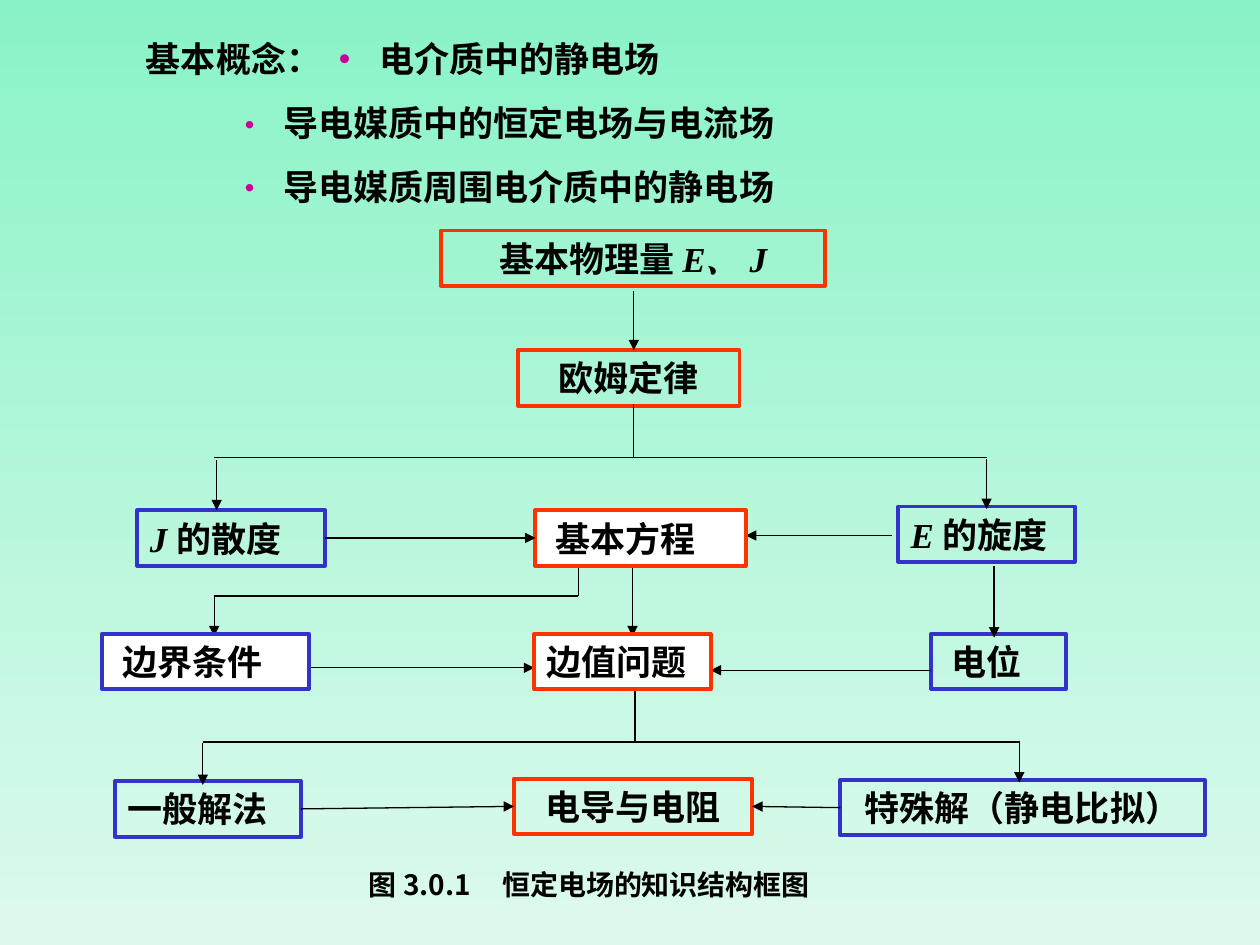
from pptx import Presentation
from pptx.dml.color import RGBColor
from pptx.enum.shapes import MSO_CONNECTOR as CONN, MSO_SHAPE as SHAPE
from pptx.enum.text import MSO_ANCHOR as ANCHOR, PP_ALIGN as ALIGN
from pptx.oxml.ns import qn
from pptx.util import Inches, Pt
from lxml.etree import SubElement

COLORS = {"top": "8AF3C7", "bottom": "DDFAED", "text": "000000", "bullet": "CC0099",
          "red": "FF3300", "blue": "3333CC", "white": "FFFFFF"}
SANS, SERIF = "Noto Sans CJK SC", "Times New Roman"
BOX_H = 0.44

CONCEPTS = ["导电媒质中的恒定电场与电流场", "导电媒质周围电介质中的静电场"]
CAPTION = "图 3.0.1\t恒定电场的知识结构框图"

# Boxes: left, top, width, line colour, centred, extra left indent, runs (text, is symbol)
CLEAR_BOXES = [
    (3.50, 1.83, 3.05, "red", True, 0, [("基本物理量 ", False), ("E、 J", True)]),
    (4.11, 2.78, 1.76, "red", True, 0, [("欧姆定律", False)]),
    (1.09, 4.05, 1.49, "blue", False, 0, [("J ", True), ("的散度", False)]),
    (7.13, 4.02, 1.40, "blue", False, 0, [("E ", True), ("的旋度", False)]),
    (7.39, 5.03, 1.07, "blue", False, 0.06, [("电位", False)]),
    (0.91, 6.20, 1.48, "blue", False, 0, [("一般解法", False)]),
    (6.67, 6.19, 2.89, "blue", True, 0, [("特殊解（静电比拟）", False)]),
    (4.08, 6.18, 1.89, "red", True, 0, [("电导与电阻", False)]),
]
WHITE_BOXES = [
    (0.81, 5.03, 1.64, "blue", False, 0.06, [("边界条件", False)]),
    (4.25, 4.05, 1.67, "red", False, 0.06, [("基本方程", False)]),
    (4.24, 5.03, 1.40, "red", False, 0, [("边值问题", False)]),
]
# Lines: x1, y1, x2, y2
PLAIN_LINES = [
    (5.03, 3.21, 5.03, 3.63), (1.70, 3.63, 7.83, 3.63),
    (4.59, 4.48, 4.59, 4.73), (1.70, 4.73, 4.59, 4.73),
    (5.04, 5.48, 5.04, 5.90), (1.61, 5.89, 8.09, 5.89),
]
ARROWS = [
    (5.03, 2.31, 5.03, 2.78), (1.72, 3.65, 1.72, 4.05), (7.83, 3.64, 7.83, 4.04),
    (7.08, 4.25, 5.92, 4.25), (1.70, 4.73, 1.70, 5.05), (5.02, 4.48, 5.02, 5.05),
    (7.89, 4.49, 7.89, 5.06), (2.40, 5.30, 4.24, 5.30), (7.39, 5.32, 5.64, 5.32),
    (1.61, 5.90, 1.61, 6.23), (8.09, 5.88, 8.09, 6.21),
]
# Joined arrows: from box, side, to box, side (1 left, 3 right)
JOINS = [("J 的散度", 3, "基本方程", 1), ("一般解法", 3, "电导与电阻", 1),
         ("特殊解（静电比拟）", 1, "电导与电阻", 3)]


def rgb(name):
    return RGBColor.from_string(COLORS[name])


def add_run(p, text, size=20, color="text", symbol=False):
    r = p.add_run()
    r.text = text
    font = r.font
    font.size, font.bold, font.italic = Pt(size), True, symbol
    font.name = SERIF if symbol else SANS
    font.color.rgb = rgb(color)
    SubElement(r._r.get_or_add_rPr(), qn("a:ea"), typeface=font.name)


def add_tabs(p, *stops):
    tabs = SubElement(p._p.get_or_add_pPr(), qn("a:tabLst"))
    for stop in stops:
        SubElement(tabs, qn("a:tab"), pos=str(Inches(stop)), algn="l")


def add_bullet(p, margin, hang):
    pPr = p._p.get_or_add_pPr()
    pPr.set("marL", str(Inches(margin)))
    pPr.set("indent", str(-Inches(hang)))
    color = SubElement(pPr, qn("a:buClr"))
    SubElement(color, qn("a:srgbClr"), val=COLORS["bullet"])
    SubElement(pPr, qn("a:buFont"), typeface=SANS)
    SubElement(pPr, qn("a:buChar"), char="•")


def add_text(x, y, w, h):
    tf = slide.shapes.add_textbox(*map(Inches, (x, y, w, h))).text_frame
    tf.word_wrap, tf.vertical_anchor = True, ANCHOR.MIDDLE
    return tf


def add_box(x, y, w, line, centred, indent, runs, fill=None):
    sp = slide.shapes.add_shape(SHAPE.RECTANGLE, *map(Inches, (x, y, w, BOX_H)))
    sp.shadow.inherit = False
    if fill:
        sp.fill.solid()
        sp.fill.fore_color.rgb = rgb(fill)
    else:
        sp.fill.background()
    sp.line.color.rgb, sp.line.width = rgb(line), Pt(2.25)
    tf = sp.text_frame
    tf.word_wrap, tf.vertical_anchor = True, ANCHOR.MIDDLE
    tf.margin_left = Inches(0.1 + indent)
    p = tf.paragraphs[0]
    p.alignment = ALIGN.CENTER if centred else ALIGN.LEFT
    for text, symbol in runs:
        add_run(p, text, symbol=symbol)
    boxes[tf.text] = sp


def add_line(ends=(0, 0, 0, 0), arrow=False):
    cn = slide.shapes.add_connector(CONN.STRAIGHT, *map(Inches, ends))
    cn.line.color.rgb, cn.line.width = rgb("text"), Pt(0.75)
    if arrow:
        SubElement(cn.line._get_or_add_ln(), qn("a:tailEnd"), type="triangle")
    SubElement(cn._element.spPr, qn("a:effectLst"))
    return cn


prs = Presentation()
prs.slide_width, prs.slide_height = Inches(10), Inches(7.5)
slide = prs.slides.add_slide(prs.slide_layouts[6])
boxes = {}

# Background
bg = slide.background.fill
bg.gradient()
bg.gradient_angle = 270
for stop, name in zip(bg.gradient_stops, ("top", "bottom")):
    stop.color.rgb = rgb(name)

# Basic concepts
tf = add_text(1.06, 0.25, 7.35, 1.45)
p = tf.paragraphs[0]
p.line_spacing = Pt(24)
add_tabs(p, 1.44, 1.85)
add_run(p, "基本概念：\t")
add_run(p, "•\t", color="bullet")
add_run(p, "电介质中的静电场")
for concept in CONCEPTS:
    p = tf.add_paragraph()
    add_bullet(p, 1.09, 0.4)
    p.line_spacing, p.space_before = Pt(24), Pt(12.5)
    add_run(p, concept)

# Flow chart
for box in CLEAR_BOXES:
    add_box(*box)
for ends in PLAIN_LINES:
    add_line(ends)
for ends in ARROWS:
    add_line(ends, arrow=True)
for box in WHITE_BOXES:
    add_box(*box, fill="white")
for start, start_side, end, end_side in JOINS:
    cn = add_line(arrow=True)
    cn.begin_connect(boxes[start], start_side)
    cn.end_connect(boxes[end], end_side)

# Caption
p = add_text(2.83, 6.83, 4.55, 0.37).paragraphs[0]
add_tabs(p, 1.06)
add_run(p, CAPTION, size=16)

prs.save("out.pptx")
